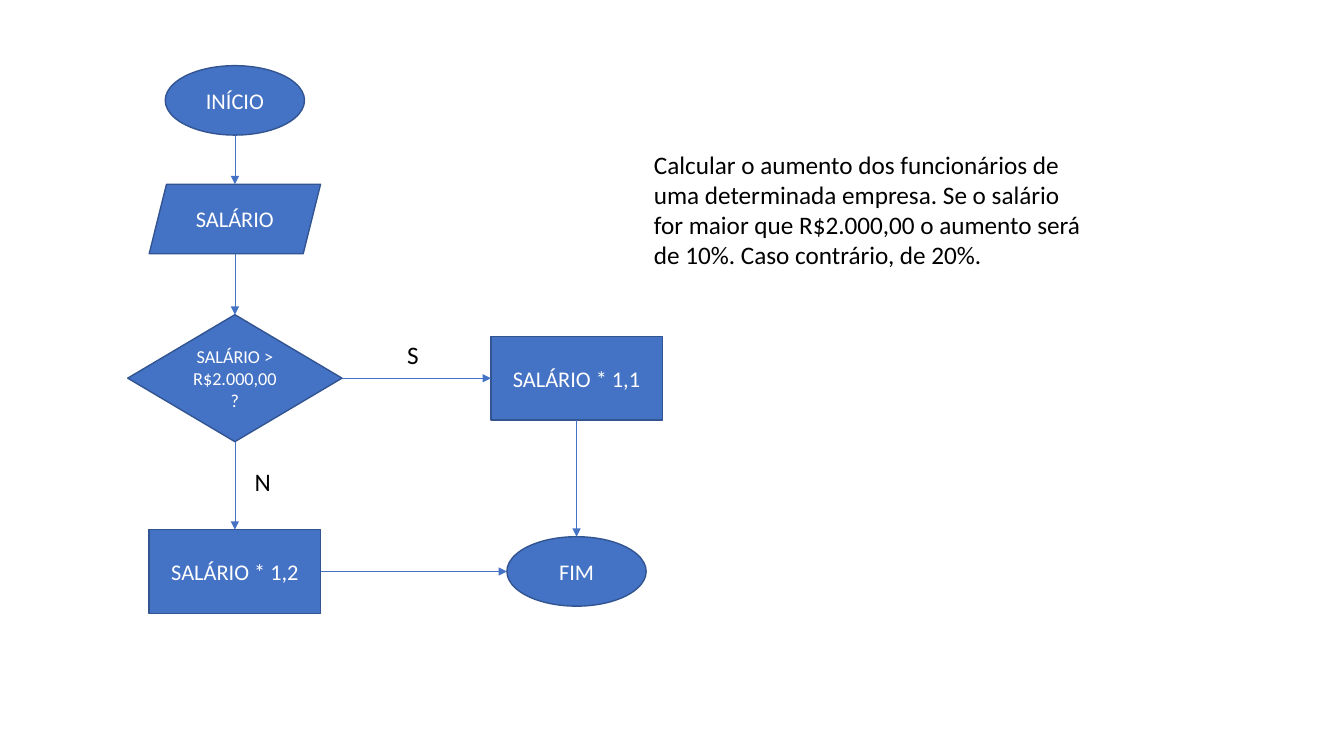
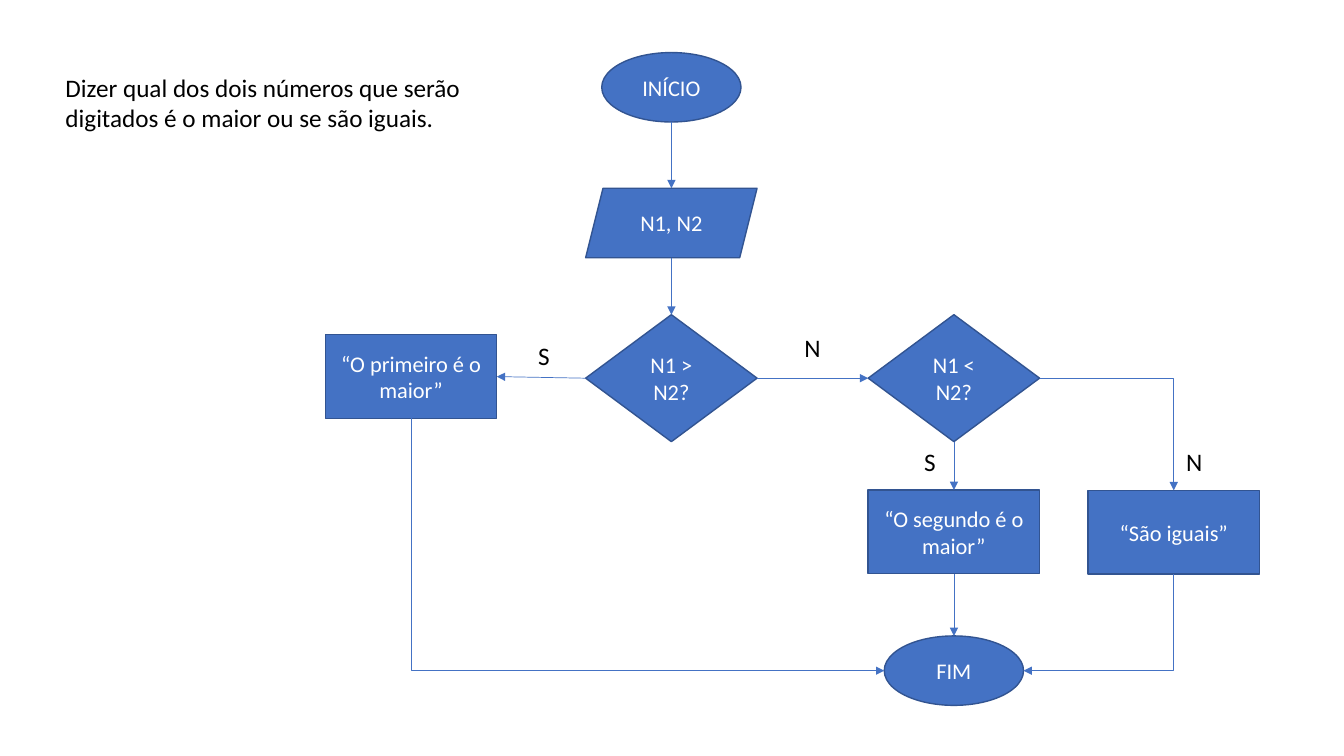
"""Build two flowchart slides: a salary rise and a comparison of two numbers."""
from lxml import etree
from pptx import Presentation
from pptx.dml.color import RGBColor
from pptx.enum.shapes import MSO_CONNECTOR, MSO_SHAPE
from pptx.enum.text import MSO_ANCHOR, MSO_AUTO_SIZE, PP_ALIGN
from pptx.oxml.ns import qn
from pptx.util import Cm, Pt

STRAIGHT, ELBOW = MSO_CONNECTOR.STRAIGHT, MSO_CONNECTOR.ELBOW
TERMINAL, INPUT = MSO_SHAPE.OVAL, MSO_SHAPE.PARALLELOGRAM
DECISION, PROCESS = MSO_SHAPE.DIAMOND, MSO_SHAPE.RECTANGLE
MIDDLE, CENTER = MSO_ANCHOR.MIDDLE, PP_ALIGN.CENTER
GROW = MSO_AUTO_SIZE.SHAPE_TO_FIT_TEXT

TOP, LEFT, BOTTOM, RIGHT = range(4)
FONT = "Calibri"
BLUE, DARK_BLUE, WHITE, BLACK = "4472C4", "325491", "FFFFFF", "000000"
SIZES = {
    TERMINAL: (3.51, 1.75),
    INPUT: (4.32, 1.75),
    DECISION: (4.32, 3.2),
    PROCESS: (4.32, 2.11),
}
LABEL_WIDTHS = {"S": 0.82, "N": 0.92}


def color(value):
    """Turn a hex string into a colour."""
    return RGBColor.from_string(value)


def write(frame, text, size, ink):
    """Put text in a frame and format it."""
    frame.text = text
    font = frame.paragraphs[0].runs[0].font
    font.name, font.size = FONT, Pt(size)
    font.color.rgb = color(ink)


def add_node(slide, kind, text, center_x, center_y, width=None, size=16):
    """Add a flowchart symbol around its centre."""
    usual_width, height = SIZES[kind]
    width = width or usual_width
    node = slide.shapes.add_shape(
        kind, Cm(center_x - width / 2), Cm(center_y - height / 2), Cm(width), Cm(height))
    node.shadow.inherit = False
    node.fill.solid()
    node.fill.fore_color.rgb = color(BLUE)
    node.line.color.rgb = color(DARK_BLUE)
    node.line.width = Pt(1)
    frame = node.text_frame
    frame.word_wrap = True
    frame.vertical_anchor = MIDDLE
    write(frame, text, size, WHITE)
    frame.paragraphs[0].alignment = CENTER
    return node


def add_text(slide, text, left, top, width, height, wrap=True):
    """Add black text that sits outside the symbols."""
    box = slide.shapes.add_textbox(Cm(left), Cm(top), Cm(width), Cm(height))
    box.text_frame.word_wrap = wrap
    box.text_frame.auto_size = GROW
    write(box.text_frame, text, 18, BLACK)


def add_label(slide, answer, left, top):
    """Add the answer beside a branch."""
    add_text(slide, answer, left, top, LABEL_WIDTHS[answer], 1.03, wrap=False)


def side_point(node, side):
    """Return the middle of one side of a symbol."""
    across = {LEFT: 0, RIGHT: node.width}.get(side, node.width // 2)
    down = {TOP: 0, BOTTOM: node.height}.get(side, node.height // 2)
    return node.left + across, node.top + down


def style_arrow(arrow):
    """Give a connector its thin line and arrowhead, without shadow."""
    arrow.line.color.rgb = color(BLUE)
    arrow.line.width = Pt(0.5)
    etree.SubElement(arrow.line._get_or_add_ln(), qn("a:tailEnd"), type="triangle")
    etree.SubElement(arrow.element.spPr, qn("a:effectLst"))


def add_arrow(slide, source, source_side, target, target_side):
    """Join two symbols with a straight arrow."""
    arrow = slide.shapes.add_connector(
        STRAIGHT, *side_point(source, source_side), *side_point(target, target_side))
    if source.auto_shape_type in (PROCESS, DECISION):
        arrow.begin_connect(source, source_side)
    if target.auto_shape_type in (PROCESS, DECISION):
        arrow.end_connect(target, target_side)
    style_arrow(arrow)


def add_bent_arrow(slide, source, source_side, target, target_side):
    """Join a symbol to a lower one with a one-corner arrow."""
    start_x, start_y = side_point(source, source_side)
    end_x, end_y = side_point(target, target_side)
    width, height = abs(end_x - start_x), end_y - start_y
    vertical_first = source_side == BOTTOM
    if vertical_first:
        width, height = height, width
    left = (start_x + end_x - width) // 2
    top = (start_y + end_y - height) // 2
    arrow = slide.shapes.add_connector(ELBOW, left, top, left + width, top + height)
    properties = arrow.element.spPr
    properties.find(qn("a:prstGeom")).set("prst", "bentConnector2")
    frame = properties.find(qn("a:xfrm"))
    if vertical_first:
        rightward = end_x > start_x
        frame.set("rot", str((270 if rightward else 90) * 60000))
        if rightward:
            frame.set("flipH", "1")
    style_arrow(arrow)


def build_salary_slide(slide):
    """Draw the flowchart of the salary rise."""
    main_x, branch_x = 5.92, 14.53
    start = add_node(slide, TERMINAL, "INÍCIO", main_x, 2.53)
    salary = add_node(slide, INPUT, "SALÁRIO", main_x, 5.52)
    test = add_node(slide, DECISION, "SALÁRIO > R$2.000,00?", main_x, 9.53, 5.4, 13)
    small_rise = add_node(slide, PROCESS, "SALÁRIO * 1,1", branch_x, 9.53)
    large_rise = add_node(slide, PROCESS, "SALÁRIO * 1,2", main_x, 14.4)
    end = add_node(slide, TERMINAL, "FIM", branch_x, 14.4)

    for source, target in ((start, salary), (salary, test), (test, large_rise), (small_rise, end)):
        add_arrow(slide, source, BOTTOM, target, TOP)
    for source, target in ((test, small_rise), (large_rise, end)):
        add_arrow(slide, source, RIGHT, target, LEFT)

    add_label(slide, "S", 10.01, 8.43)
    add_label(slide, "N", 6.17, 11.63)
    add_text(
        slide,
        "Calcular o aumento dos funcionários de uma determinada empresa. Se o salário "
        "for maior que R$2.000,00 o aumento será de 10%. Caso contrário, de 20%.",
        16.23, 3.63, 11.46, 3.33)


def build_comparison_slide(slide):
    """Draw the flowchart that compares two numbers."""
    first_x, main_x, second_x, equal_x = 10.36, 16.92, 24.04, 29.58
    add_text(
        slide,
        "Dizer qual dos dois números que serão digitados é o maior ou se são iguais.",
        1.4, 1.7, 11.46, 1.8)
    start = add_node(slide, TERMINAL, "INÍCIO", main_x, 2.2)
    numbers = add_node(slide, INPUT, "N1, N2", main_x, 5.62)
    greater = add_node(slide, DECISION, "N1 > N2?", main_x, 9.53)
    first = add_node(slide, PROCESS, "“O primeiro é o maior”", first_x, 9.49)
    end = add_node(slide, TERMINAL, "FIM", second_x, 16.9)
    less = add_node(slide, DECISION, "N1 < N2?", second_x, 9.53)
    second = add_node(slide, PROCESS, "“O segundo é o maior”", second_x, 13.4)
    equal = add_node(slide, PROCESS, "“São iguais”", equal_x, 13.41)

    for source, target in ((start, numbers), (numbers, greater), (less, second), (second, end)):
        add_arrow(slide, source, BOTTOM, target, TOP)
    add_arrow(slide, greater, LEFT, first, RIGHT)
    add_arrow(slide, greater, RIGHT, less, LEFT)
    add_bent_arrow(slide, first, BOTTOM, end, LEFT)
    add_bent_arrow(slide, less, RIGHT, equal, TOP)
    add_bent_arrow(slide, equal, BOTTOM, end, RIGHT)

    for answer, left, top in (
            ("S", 13.31, 8.46), ("N", 20.02, 8.26), ("S", 23.04, 11.13), ("N", 29.64, 11.13)):
        add_label(slide, answer, left, top)


def main():
    """Build and save the presentation."""
    deck = Presentation()
    deck.slide_width, deck.slide_height = Cm(33.87), Cm(19.05)
    for build in (build_salary_slide, build_comparison_slide):
        build(deck.slides.add_slide(deck.slide_layouts[6]))
    deck.save("out.pptx")


if __name__ == "__main__":
    main()
